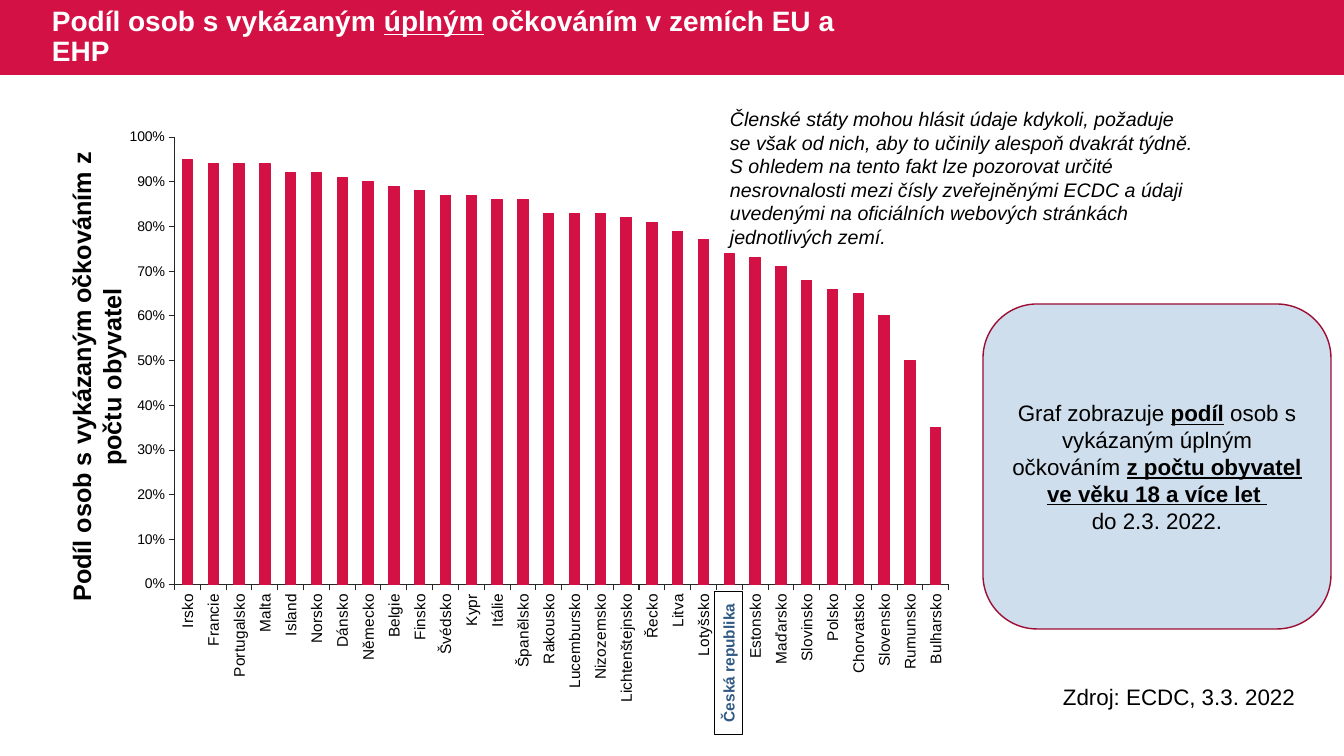
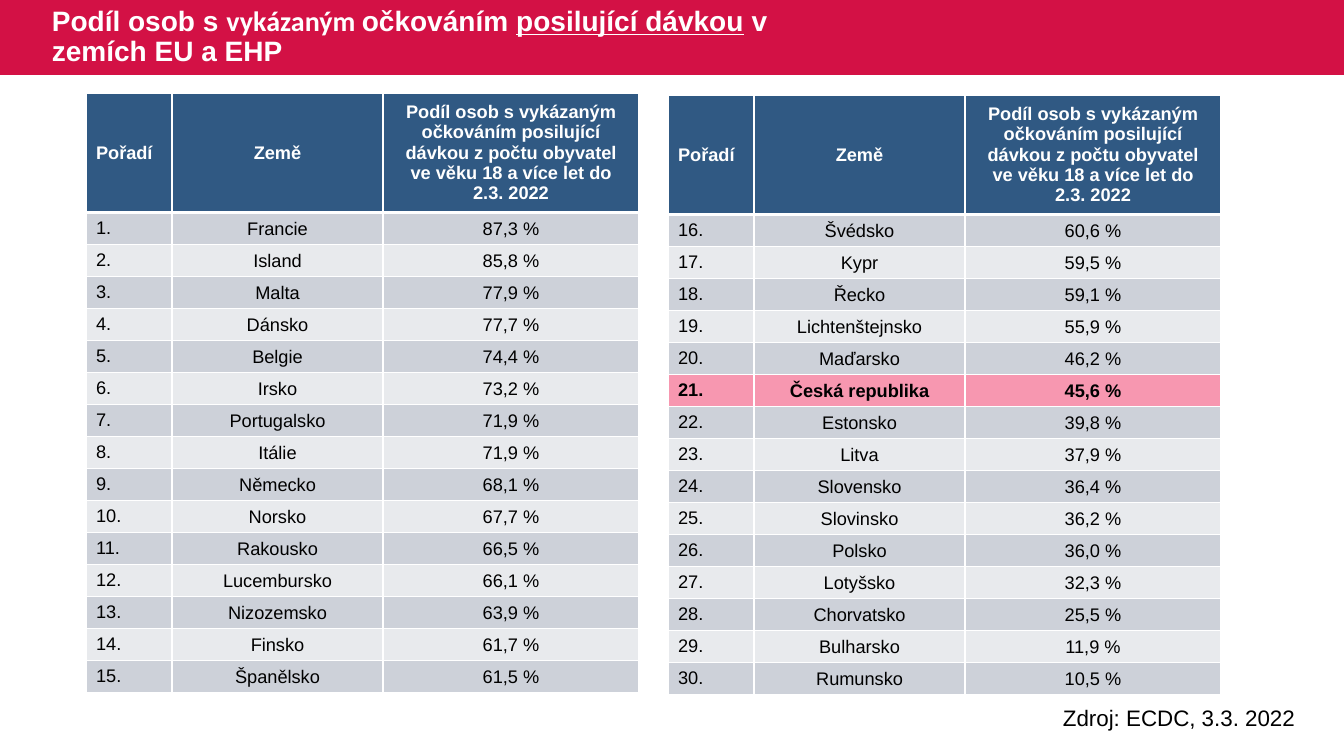
from dataclasses import dataclass

from lxml import etree
from pptx import Presentation
from pptx import util as u
from pptx.chart.data import CategoryChartData
from pptx.dml.color import RGBColor
from pptx.enum import chart as ch
from pptx.enum import shapes, text
from pptx.oxml import parse_xml
from pptx.oxml.ns import nsdecls, qn


@dataclass(frozen=True)
class Theme:
    red: str = "D31145"
    wine: str = "9C0D33"
    blue: str = "305983"
    pale: str = "CFDEED"
    pink: str = "F797B0"
    dark: str = "CDD1D9"
    light: str = "E8EAED"
    white: str = "FFFFFF"
    black: str = "000000"
    axis: str = "262626"
    font: str = "Arial"
    alt: str = "Calibri"
    title: int = 20
    head: int = 18
    body: int = 16
    note: int = 14
    cell: int = 13
    label: int = 11
    tick: int = 10


T = Theme()
WIDE, HIGH = 1344, 756
HOME = "Česká republika"
MID = text.PP_ALIGN.CENTER

SHARES = {
    "Irsko": 95, "Francie": 94, "Portugalsko": 94, "Malta": 94, "Island": 92,
    "Norsko": 92, "Dánsko": 91, "Německo": 90, "Belgie": 89, "Finsko": 88,
    "Švédsko": 87, "Kypr": 87, "Itálie": 86, "Španělsko": 86, "Rakousko": 83,
    "Lucembursko": 83, "Nizozemsko": 83, "Lichtenštejnsko": 82, "Řecko": 81,
    "Litva": 79, "Lotyšsko": 77, HOME: 74, "Estonsko": 73, "Maďarsko": 71,
    "Slovinsko": 68, "Polsko": 66, "Chorvatsko": 65, "Slovensko": 60,
    "Rumunsko": 50, "Bulharsko": 35,
}

RANKS = [
    ("Francie", "87,3"), ("Island", "85,8"), ("Malta", "77,9"),
    ("Dánsko", "77,7"), ("Belgie", "74,4"), ("Irsko", "73,2"),
    ("Portugalsko", "71,9"), ("Itálie", "71,9"), ("Německo", "68,1"),
    ("Norsko", "67,7"), ("Rakousko", "66,5"), ("Lucembursko", "66,1"),
    ("Nizozemsko", "63,9"), ("Finsko", "61,7"), ("Španělsko", "61,5"),
    ("Švédsko", "60,6"), ("Kypr", "59,5"), ("Řecko", "59,1"),
    ("Lichtenštejnsko", "55,9"), ("Maďarsko", "46,2"), (HOME, "45,6"),
    ("Estonsko", "39,8"), ("Litva", "37,9"), ("Slovensko", "36,4"),
    ("Slovinsko", "36,2"), ("Polsko", "36,0"), ("Lotyšsko", "32,3"),
    ("Chorvatsko", "25,5"), ("Bulharsko", "11,9"), ("Rumunsko", "10,5"),
]

HEADS = (
    "Pořadí",
    "Země",
    "Podíl osob s vykázaným očkováním posilující dávkou z počtu obyvatel "
    "ve věku 18 a více let do 2.3. 2022",
)


def px(num):
    return u.Emu(round(num * 12192000 / WIDE))


def spot(box):
    return [px(num) for num in box]


def rgb(tone):
    return RGBColor.from_string(tone)


def style(font, size, color=T.black, face=T.font, bold=False, italic=False,
          under=False):
    font.size = u.Pt(size)
    font.name = face
    font.color.rgb = rgb(color)
    font.bold = bold
    font.italic = italic
    font.underline = under


def put(frame, *paras, align=None, space=None, anchor=None, **form):
    frame.word_wrap = True
    if anchor is not None:
        frame.vertical_anchor = anchor
    for num, runs in enumerate(paras):
        para = frame.add_paragraph() if num else frame.paragraphs[0]
        para.alignment = align
        para.line_spacing = space
        for part in [runs] if isinstance(runs, str) else runs:
            words, extra = (part, {}) if isinstance(part, str) else part
            run = para.add_run()
            run.text = words
            style(run.font, **{**form, **extra})


def label(slide, box, *paras, turn=0, **form):
    item = slide.shapes.add_textbox(*spot(box))
    item.rotation = turn
    put(item.text_frame, *paras, **form)


def panel(slide, box, fill, kind=shapes.MSO_SHAPE.RECTANGLE, line=None,
          turn=0):
    item = slide.shapes.add_shape(kind, *spot(box))
    item.shadow.inherit = False
    item.rotation = turn
    item.fill.solid()
    item.fill.fore_color.rgb = rgb(fill)
    if line:
        item.line.color.rgb = rgb(line)
        item.line.width = u.Pt(1)
    else:
        item.line.fill.background()
    return item.text_frame


def start(deck, *title):
    slide = deck.slides.add_slide(deck.slide_layouts[6])
    panel(slide, (0, 0, WIDE, 75), T.red)
    label(slide, (42, 0, 823, 75), title, size=T.title, color=T.white,
          bold=True, space=0.9, anchor=text.MSO_ANCHOR.MIDDLE)
    return slide


def source(slide, top):
    label(slide, (1053, top, 316, 37), "Zdroj: ECDC, 3.3. 2022", size=T.body)


def rule(axis, size):
    axis.has_major_gridlines = False
    axis.major_tick_mark = ch.XL_TICK_MARK.OUTSIDE
    axis.minor_tick_mark = ch.XL_TICK_MARK.NONE
    axis.format.line.color.rgb = rgb(T.axis)
    axis.format.line.width = u.Pt(0.75)
    style(axis.tick_labels.font, size)


def place(chart, **parts):
    area = chart._chartSpace.chart.plotArea
    for old in area.findall(qn("c:layout")):
        area.remove(old)
    vals = "".join(f'<c:{key} val="{val}"/>' for key, val in parts.items())
    area.insert(0, parse_xml(
        f'<c:layout {nsdecls("c")}><c:manualLayout>'
        '<c:layoutTarget val="inner"/><c:xMode val="edge"/>'
        f'<c:yMode val="edge"/>{vals}</c:manualLayout></c:layout>'))


def bars(slide, box):
    data = CategoryChartData(number_format="0%")
    data.categories = list(SHARES)
    data.add_series("Series 1", [val / 100 for val in SHARES.values()])
    chart = slide.shapes.add_chart(
        ch.XL_CHART_TYPE.COLUMN_CLUSTERED, *spot(box), data).chart
    chart.has_legend = False
    chart.has_title = False
    style(chart.font, T.tick)
    plot = chart.plots[0]
    plot.gap_width = 150
    plot.vary_by_categories = False
    form = plot.series[0].format
    form.fill.solid()
    form.fill.fore_color.rgb = rgb(T.red)
    form.line.color.rgb = rgb(T.red)
    form.line.width = u.Pt(0.75)
    rule(chart.category_axis, T.label)
    body = chart.category_axis._element.find(qn("c:txPr")).find(qn("a:bodyPr"))
    body.set("rot", "-5400000")
    body.set("vert", "horz")
    axis = chart.value_axis
    rule(axis, T.tick)
    axis.minimum_scale, axis.maximum_scale, axis.major_unit = 0, 1, 0.1
    axis.tick_labels.number_format = "0%"
    axis.tick_labels.number_format_is_linked = False
    place(chart, x=0.068, y=0.047, w=0.914, h=0.745)


def graph(slide, box):
    left, top, wide, high = box
    label(slide, (left - 273, top + 232, 506, 72),
          "Podíl osob s vykázaným očkováním z počtu obyvatel",
          turn=270, size=T.head, bold=True, align=MID)
    bars(slide, box)
    mark = panel(slide, (left + 540, top + 540, 143, 28), T.white,
                 line=T.black, turn=270)
    put(mark, HOME, size=T.label, color=T.blue, bold=True, align=MID,
        anchor=text.MSO_ANCHOR.MIDDLE)


def callout(slide, box):
    key = dict(bold=True, under=True)
    frame = panel(slide, box, T.pale, shapes.MSO_SHAPE.ROUNDED_RECTANGLE,
                  T.wine)
    put(frame,
        ["Graf zobrazuje ", ("podíl", key),
         " osob s vykázaným úplným očkováním ",
         ("z počtu obyvatel ve věku 18 a více let ", key)],
        "do 2.3. 2022.",
        size=T.body, align=MID, anchor=text.MSO_ANCHOR.MIDDLE)


def edges(cell, foot):
    props = cell._tc.get_or_add_tcPr()
    for side, wide in zip("LRTB", (1, 1, 1, foot)):
        line = etree.SubElement(props, qn(f"a:ln{side}"), w=str(u.Pt(wide)))
        fill = etree.SubElement(line, qn("a:solidFill"))
        etree.SubElement(fill, qn("a:srgbClr"), val=T.white)


def ranks(slide, spot_at, first, rows):
    cols, head, step = (86, 211, 256), 111, 30
    size = (sum(cols), head + step * len(rows))
    grid = slide.shapes.add_table(
        len(rows) + 1, len(cols), *spot(spot_at + size)).table
    for col, wide in zip(grid.columns, cols):
        col.width = px(wide)
    lines = [HEADS] + [(f"{num}.", land, f"{val} %")
                       for num, (land, val) in enumerate(rows, first)]
    for row, line in enumerate(lines):
        grid.rows[row].height = px(step if row else head)
        home = line[1] == HOME
        fill = T.pink if home else (T.dark if row % 2 else T.light)
        for col, words in enumerate(line):
            cell = grid.cell(row, col)
            edges(cell, 1 if row else 3)
            cell.fill.solid()
            cell.fill.fore_color.rgb = rgb(fill if row else T.blue)
            cell.vertical_anchor = text.MSO_ANCHOR.MIDDLE
            if row and col:
                cell.margin_left = cell.margin_right = cell.margin_top = px(1)
                cell.margin_bottom = 0
            put(cell.text_frame, words, size=T.cell, bold=home or not row,
                color=T.black if row else T.white, align=MID if col else None)


def main():
    deck = Presentation()
    deck.slide_width, deck.slide_height = px(WIDE), px(HIGH)

    slide = start(deck, "Podíl osob s vykázaným ", ("úplným", dict(under=True)),
                  " očkováním v zemích EU a EHP")
    graph(slide, (117, 109, 847, 600))
    callout(slide, (983, 304, 348, 325))
    source(slide, 678)
    label(slide, (720, 102, 490, 152),
          "Členské státy mohou hlásit údaje kdykoli, požaduje se však od nich, "
          "aby to učinily alespoň dvakrát týdně. S ohledem na tento fakt lze "
          "pozorovat určité nesrovnalosti mezi čísly zveřejněnými ECDC a údaji "
          "uvedenými na oficiálních webových stránkách jednotlivých zemí.",
          size=T.note, italic=True)

    slide = start(deck, "Podíl osob s ", ("vykázaným ", dict(face=T.alt)),
                  "očkováním ", ("posilující dávkou", dict(under=True)),
                  " v zemích EU a EHP")
    half = len(RANKS) // 2
    ranks(slide, (86, 93), 1, RANKS[:half])
    ranks(slide, (668, 95), half + 1, RANKS[half:])
    source(slide, 699)

    deck.save("out.pptx")


if __name__ == "__main__":
    main()
